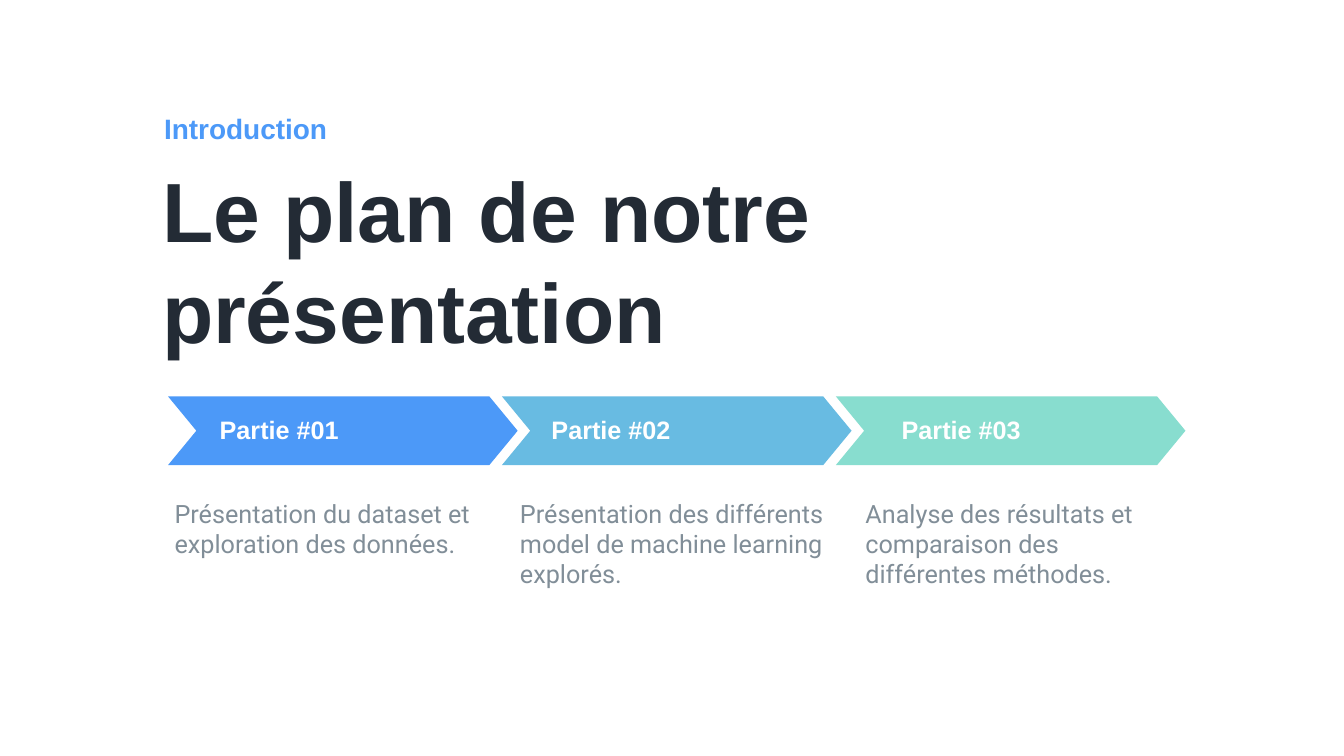
"""Build the presentation-plan slide with three chevron steps."""
from pptx import Presentation
from pptx import util as u
from pptx.dml.color import RGBColor
from pptx.enum import shapes, text

PX = 9525
INK = RGBColor(0x23, 0x2B, 0x35)
GREY = RGBColor(0x81, 0x8E, 0x98)
WHITE = RGBColor(0xFF, 0xFF, 0xFF)
BLUE = RGBColor(0x4C, 0x99, 0xF8)
SKY = RGBColor(0x68, 0xBB, 0xE2)
MINT = RGBColor(0x88, 0xDD, 0xCF)

CHEVRON_LEFT, CHEVRON_STEP = 320, 636
CHEVRON_WIDTH, CHEVRON_HEIGHT, CHEVRON_POINT = 666, 131, 54
DETAIL_LEFT, DETAIL_STEP = 323, 658
LINE_RATIO = 1.2

PARTS = [
    ("Partie #01", 409, BLUE, "Présentation du dataset et exploration des données.", 147),
    ("Partie #02", 1041, SKY, "Présentation des différents model de machine learning explorés.", 211),
    ("Partie #03", 1708, MINT, "Analyse des résultats et comparaison des différentes méthodes.", 211),
]


def px(*lengths):
    """Turn px lengths into EMU."""
    return [u.Emu(length * PX) for length in lengths]


def write(shape, words, size, color, font="Arial", bold=True):
    """Fill a shape with one left-aligned, top-anchored paragraph."""
    frame = shape.text_frame
    frame.text = words
    frame.word_wrap = True
    frame.auto_size = text.MSO_AUTO_SIZE.NONE
    frame.vertical_anchor = text.MSO_ANCHOR.TOP
    frame.margin_left = frame.margin_right = u.Inches(0.1)
    frame.margin_top = frame.margin_bottom = u.Inches(0.1)
    paragraph = frame.paragraphs[0]
    paragraph.alignment = text.PP_ALIGN.LEFT
    paragraph.line_spacing = u.Pt(size * LINE_RATIO)
    paragraph.font.name = font
    paragraph.font.size = u.Pt(size)
    paragraph.font.bold = bold
    paragraph.font.color.rgb = color


def add_title(slide, words, left, top, width, height):
    """Place and format the title placeholder."""
    title = slide.shapes.title
    title.left, title.top, title.width, title.height = px(left, top, width, height)
    write(title, words, 120, INK)


def add_text(slide, box, words, size, color, **style):
    """Add a text box at (left, top, width, height)."""
    write(slide.shapes.add_textbox(*px(*box)), words, size, color, **style)


def add_chevron(slide, left, color):
    """Add one step arrow."""
    box = px(left, 755, CHEVRON_WIDTH, CHEVRON_HEIGHT)
    shape = slide.shapes.add_shape(shapes.MSO_SHAPE.CHEVRON, *box)
    shape.adjustments[0] = CHEVRON_POINT / CHEVRON_HEIGHT
    shape.shadow.inherit = False
    shape.fill.solid()
    shape.fill.fore_color.rgb = color
    shape.line.fill.background()


def main():
    """Assemble and save the slide."""
    presentation = Presentation()
    presentation.slide_width, presentation.slide_height = px(2560, 1440)
    slide = presentation.slides.add_slide(presentation.slide_layouts[5])
    add_title(slide, "Le plan de notre présentation", 299, 293, 1462, 403)
    add_text(slide, (303, 202, 533, 84), "Introduction", 40, BLUE)
    for index, (label, label_left, color, detail, height) in enumerate(PARTS):
        add_chevron(slide, CHEVRON_LEFT + index * CHEVRON_STEP, color)
        add_text(slide, (label_left, 780, 282, 77), label, 36, WHITE)
        detail_box = (DETAIL_LEFT + index * DETAIL_STEP, 939, 621, height)
        add_text(slide, detail_box, detail, 36, GREY, font="Roboto", bold=False)
    presentation.save("out.pptx")


if __name__ == "__main__":
    main()
